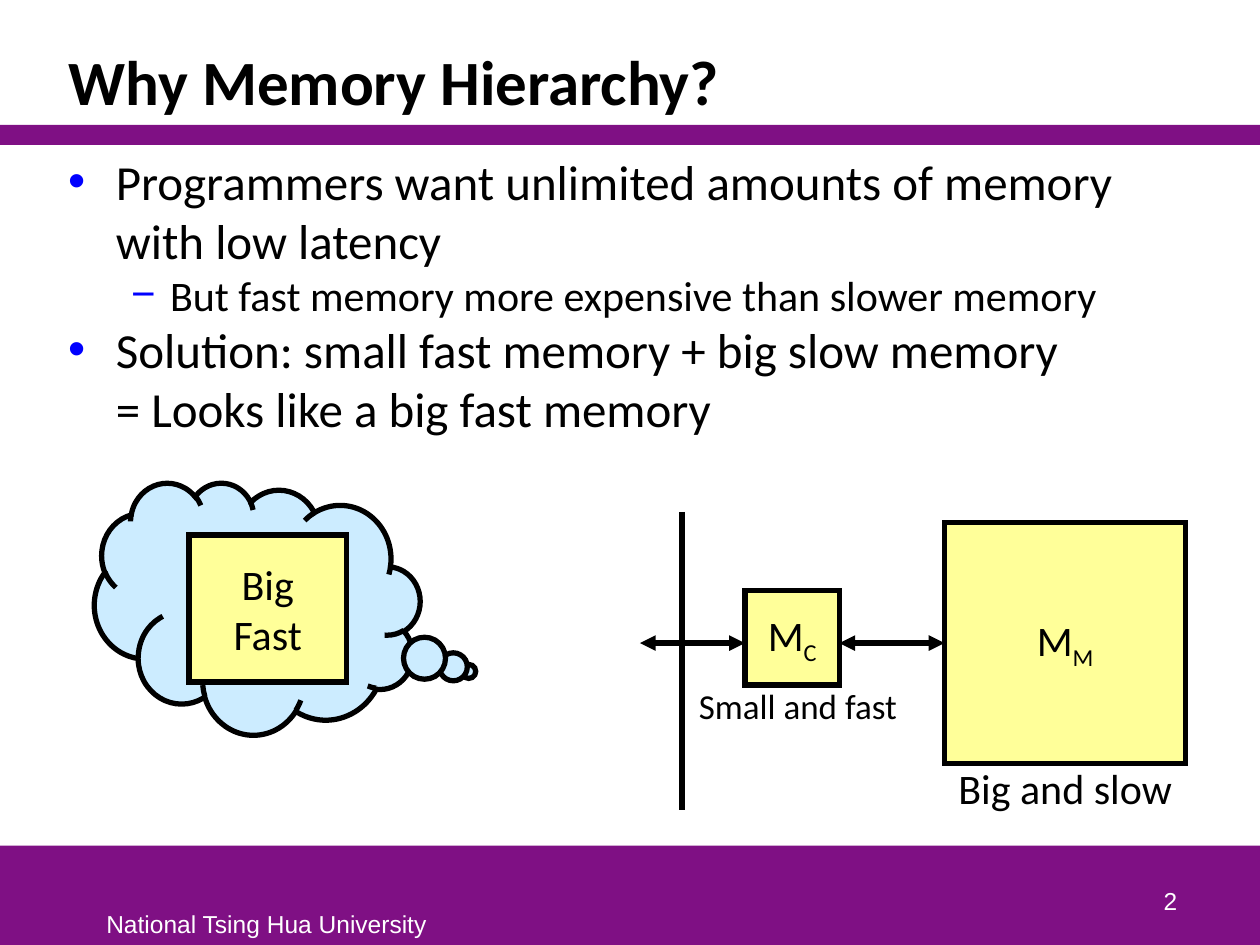
"""Build the slide 'Why Memory Hierarchy?' on a grid of 120 columns by 90 rows."""
from lxml.etree import SubElement
from pptx import Presentation
from pptx.dml.color import RGBColor
from pptx.enum.shapes import MSO_CONNECTOR as Connector, MSO_SHAPE as Shape
from pptx.enum.text import MSO_ANCHOR as Anchor, MSO_AUTO_SIZE as AutoSize, PP_ALIGN as Align
from pptx.oxml.ns import qn
from pptx.util import Inches, Pt

CELL = Inches(1) / 12
PURPLE, YELLOW, SKY, BLACK, WHITE, BLUE = "7F1084", "FFFF99", "CCECFF", "000000", "FFFFFF", "0000FF"
color = RGBColor.from_string


def place(*cells):
    return [round(cell * CELL) for cell in cells]


def write(box, lines, size, align=Align.CENTER, anchor=Anchor.TOP, wrap=True, font="Calibri", ink=BLACK):
    frame = box.text_frame
    frame.word_wrap, frame.vertical_anchor = wrap, anchor
    for index, line in enumerate(lines):
        para = frame.add_paragraph() if index else frame.paragraphs[0]
        base, _, subscript = line.partition("_")
        para.text = base
        if subscript:
            span = para.add_run()
            span.text = subscript
            span.font._element.set("baseline", "-25000")
        para.alignment = align
        para.font.size, para.font.name = Pt(size), font
        para.font.color.rgb = color(ink)
    return frame


deck = Presentation()
deck.slide_width, deck.slide_height = place(120, 90)
page = deck.slides.add_slide(deck.slide_layouts[5])
shapes = page.shapes

for top, height in ((80.55, 9.45), (11.9, 1.9)):
    band = shapes.add_shape(Shape.RECTANGLE, *place(0, top, 120, height))
    band.shadow.inherit = False
    band.fill.solid()
    band.fill.fore_color.rgb = color(PURPLE)
    band.line.fill.background()

title = shapes.title
title.left, title.top, title.width, title.height = place(5.3, 3, 109.4, 8.9)
frame = write(title, ["Why Memory Hierarchy?"], 36, Align.LEFT, Anchor.BOTTOM)
frame.auto_size = AutoSize.NONE
frame.paragraphs[0].font.bold = True
frame.paragraphs[0].line_spacing = 0.85

body = shapes.add_textbox(*place(5.3, 13.83, 109.4, 66.4)).text_frame
body.word_wrap = True
points = (
    (0, "Programmers want unlimited amounts of memory with low latency"),
    (1, "But fast memory more expensive than slower memory"),
    (0, "Solution: small fast memory + big slow memory\n= Looks like a big fast memory"),
)
levels = ((28, 0.38, 0.38, "•"), (24, 0.81, 0.31, "−"))
for index, (level, text) in enumerate(points):
    size, margin, hanging, mark = levels[level]
    para = body.add_paragraph() if index else body.paragraphs[0]
    para.text, para.level = text, level
    properties = para._p.get_or_add_pPr()
    properties.set("marL", str(Inches(margin)))
    properties.set("indent", str(-Inches(hanging)))
    SubElement(SubElement(properties, qn("a:buClr")), qn("a:srgbClr"), val=BLUE)
    SubElement(properties, qn("a:buFont"), typeface="Arial")
    SubElement(properties, qn("a:buChar"), char=mark)
    para.font.size, para.font.name = Pt(size), "Calibri"
    para.font.color.rgb = color(BLACK)

blocks = []
for kind, cells, fill, lines in (
    (Shape.RECTANGLE, (70.95, 56.25, 9, 9), YELLOW, ["M_C"]),
    (Shape.RECTANGLE, (89.95, 49.75, 23, 23), YELLOW, ["M_M"]),
    (Shape.CLOUD_CALLOUT, (9, 45.95, 31, 24), SKY, []),
    (Shape.RECTANGLE, (18, 50.95, 15, 14), YELLOW, ["Big", "Fast"]),
):
    block = shapes.add_shape(kind, *place(*cells))
    block.shadow.inherit = False
    block.fill.solid()
    block.fill.fore_color.rgb = color(fill)
    block.line.color.rgb, block.line.width = color(BLACK), Pt(3)
    SubElement(block.line._get_or_add_ln(), qn("a:miter"), lim="800000")
    if lines:
        write(block, lines, 24, anchor=Anchor.MIDDLE, wrap=False)
    blocks.append(block)

cache, main_memory, thought, ideal_memory = blocks
thought.adjustments[0], thought.adjustments[1] = -0.65, 0.25
thought._element.spPr.find(qn("a:xfrm")).set("flipH", "1")

for ends, arrows, target in (
    ((64.95, 48.75, 64.95, 77.15), (), None),
    ((60.95, 61.25, 70.95, 61.25), ("headEnd", "tailEnd"), None),
    ((79.95, 61.25, 89.95, 61.25), ("headEnd", "tailEnd"), main_memory),
):
    link = shapes.add_connector(Connector.STRAIGHT, *place(*ends))
    link.line.color.rgb, link.line.width = color(BLACK), Pt(3)
    for arrow in arrows:
        SubElement(link.line._get_or_add_ln(), qn(f"a:{arrow}"), type="triangle")
    SubElement(link._element.spPr, qn("a:effectLst"))
    if target:
        link.end_connect(target, 1)

for cells, label, size in (
    ((64.35, 64.6, 23.3, 5.3), "Small and fast", 20),
    ((89.95, 72.05, 23, 6), "Big and slow", 24),
):
    write(shapes.add_textbox(*place(*cells)), [label], size)

footer = shapes.add_textbox(*place(8.95, 86, 33.1, 3.9))
write(footer, ["National Tsing Hua University"], 14, Align.LEFT, wrap=False, font="Arial", ink=WHITE)
number = shapes.add_textbox(*place(88.3, 81.75, 25, 6))
write(number, ["2"], 14, Align.RIGHT, Anchor.BOTTOM, font="Arial", ink=WHITE)

deck.save("out.pptx")
